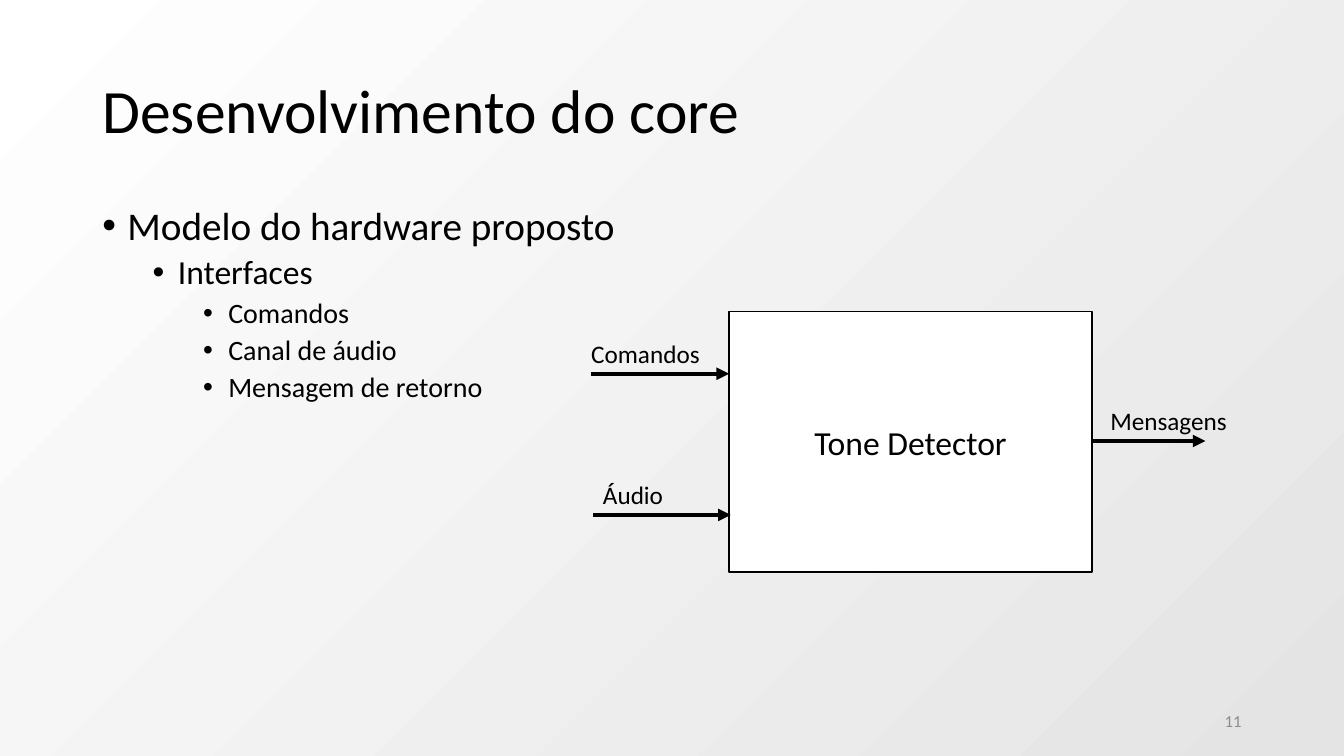
from lxml.etree import SubElement as Sub
from pptx import Presentation
from pptx.dml.color import RGBColor
from pptx.enum.shapes import MSO_CONNECTOR as Conn, MSO_SHAPE as Form
from pptx.enum.text import MSO_ANCHOR as Anchor, MSO_AUTO_SIZE as Fit, PP_ALIGN as Align
from pptx.oxml.ns import qn
from pptx.util import Inches, Pt

COLS, ROWS = 16, 9
CELL = 7.5 / ROWS
LABEL = 0.48  # height of a one-line box, in rows


def tint(code):
    return RGBColor.from_string(code)


def size(*cells):
    return [Inches(n * CELL) for n in cells]


class Board:
    font, ink, paper, shade, grey = "Calibri", "000000", "FFFFFF", "E4E4E4", "8C8C8C"

    def __init__(self, deck):
        self.slide = deck.slides.add_slide(deck.slide_layouts[5])
        self.shapes = self.slide.shapes

    def back(self):
        fill = self.slide.background.fill
        fill.gradient()
        fill.gradient_angle = 315
        for stop, code, spot in zip(fill.gradient_stops, (self.paper, self.shade), (0, 1)):
            stop.color.rgb = tint(code)
            stop.position = spot

    def style(self, para, points, align=Align.LEFT, color=None):
        para.alignment = align
        font = para.font
        font.name, font.size = self.font, Pt(points)
        font.color.rgb = tint(color or self.ink)

    def title(self, text, *area):
        head = self.shapes.title
        head.left, head.top, head.width, head.height = size(*area)
        frame = head.text_frame
        frame.text = text
        frame.auto_size = Fit.NONE
        frame.vertical_anchor = Anchor.MIDDLE
        frame.paragraphs[0].line_spacing = 0.9
        self.style(frame.paragraphs[0], 44)

    def bullets(self, items, *area):
        frame = self.shapes.add_textbox(*size(*area)).text_frame
        frame.word_wrap = True
        for i, (level, text) in enumerate(items):
            para = frame.paragraphs[0] if i == 0 else frame.add_paragraph()
            para.text = text
            para.level = level
            para.line_spacing = 0.9
            para.space_before = Pt(5 if i else 0)
            props = para._p.get_or_add_pPr()
            props.set("marL", str(Inches(0.25 + 0.5 * level)))
            props.set("indent", str(Inches(-0.25)))
            Sub(props, qn("a:buFont"), typeface="Arial")
            Sub(props, qn("a:buChar"), char="•")
            self.style(para, 28 - 4 * level)

    def block(self, text, *area):
        box = self.shapes.add_shape(Form.RECTANGLE, *size(*area))
        box.shadow.inherit = False
        box.fill.solid()
        box.fill.fore_color.rgb = tint(self.paper)
        box.line.color.rgb = tint(self.ink)
        box.line.width = Pt(1)
        frame = box.text_frame
        frame.text = text
        frame.vertical_anchor = Anchor.MIDDLE
        self.style(frame.paragraphs[0], 24, Align.CENTER)

    def arrow(self, start, end, row):
        link = self.shapes.add_connector(Conn.STRAIGHT, *size(start, row, end, row))
        link.line.color.rgb = tint(self.ink)
        link.line.width = Pt(3)
        Sub(link.line._get_or_add_ln(), qn("a:tailEnd"), type="triangle")
        Sub(link._element.spPr, qn("a:effectLst"))

    def label(self, text, *area):
        frame = self.shapes.add_textbox(*size(*area)).text_frame
        frame.text = text
        frame.word_wrap = False
        frame.auto_size = Fit.SHAPE_TO_FIT_TEXT
        self.style(frame.paragraphs[0], 18)

    def number(self, text, *area):
        frame = self.shapes.add_textbox(*size(*area)).text_frame
        frame.text = text
        frame.word_wrap = True
        frame.vertical_anchor = Anchor.MIDDLE
        self.style(frame.paragraphs[0], 12, Align.RIGHT, self.grey)


def main():
    deck = Presentation()
    deck.slide_width, deck.slide_height = size(COLS, ROWS)
    board = Board(deck)
    board.back()

    # Heading and outline
    board.title("Desenvolvimento do core", 1.1, 0.48, 13.8, 1.74)
    board.bullets([
        (0, "Modelo do hardware proposto"),
        (1, "Interfaces"),
        (2, "Comandos"),
        (2, "Canal de áudio"),
        (2, "Mensagem de retorno"),
    ], 1.1, 2.4, 13.8, 5.71)

    # Detector with its inputs and output
    board.block("Tone Detector", 8.68, 3.71, 4.32, 3.1)
    ports = [
        ("Comandos", 7.03, 8.68, 4.45, 6.92, 1.55),
        ("Áudio", 7.06, 8.7, 6.13, 7.06, 0.97),
        ("Mensagens", 13, 14.35, 5.25, 13.1, 1.64),
    ]
    for text, start, end, row, left, width in ports:
        board.arrow(start, end, row)
        board.label(text, left, row - LABEL, width, LABEL)

    # Slide number
    board.number("11", 11.3, 8.34, 3.6, LABEL)
    deck.save("out.pptx")


if __name__ == "__main__":
    main()
